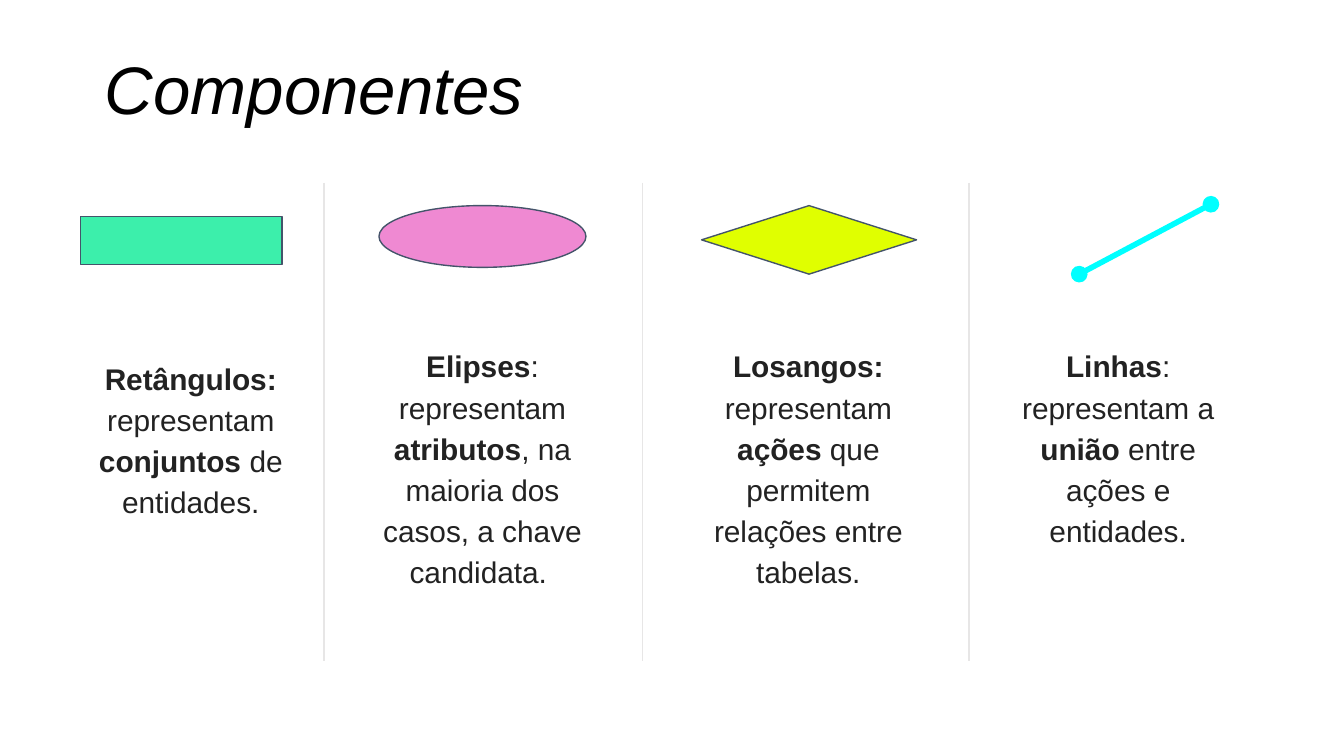
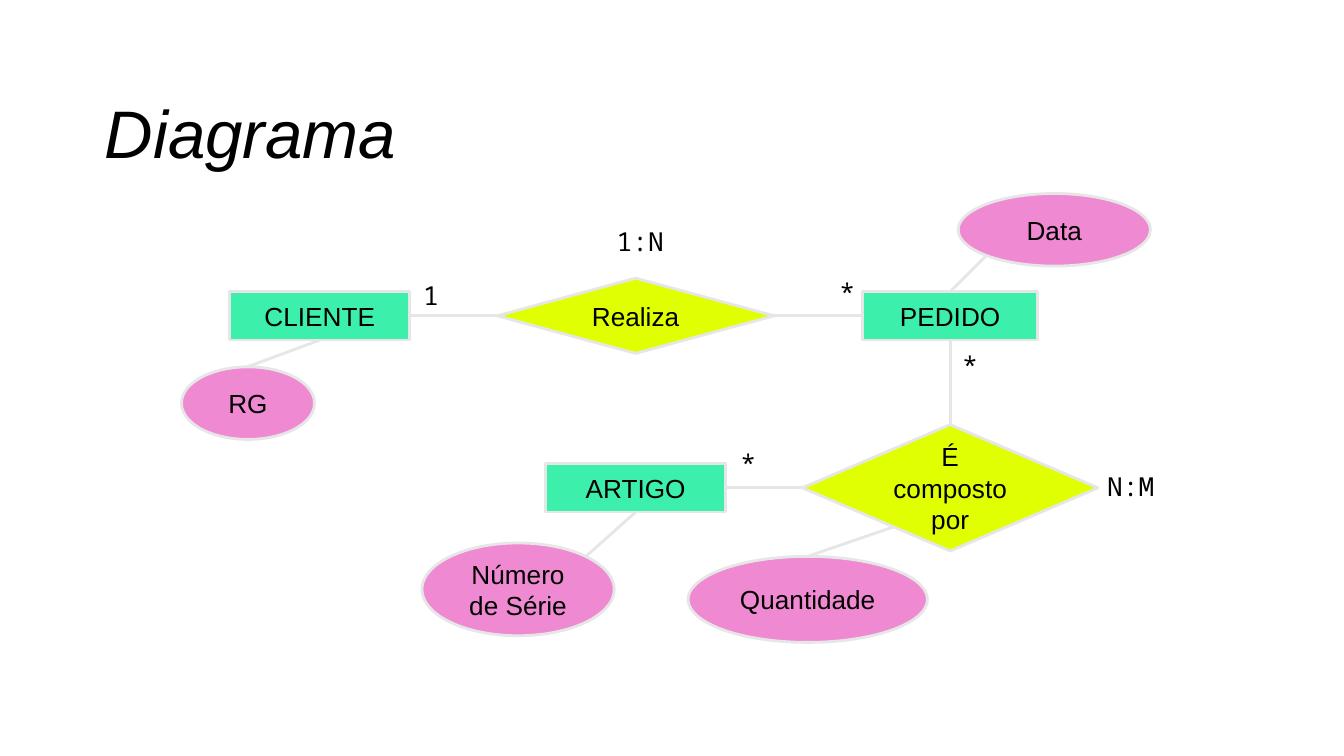
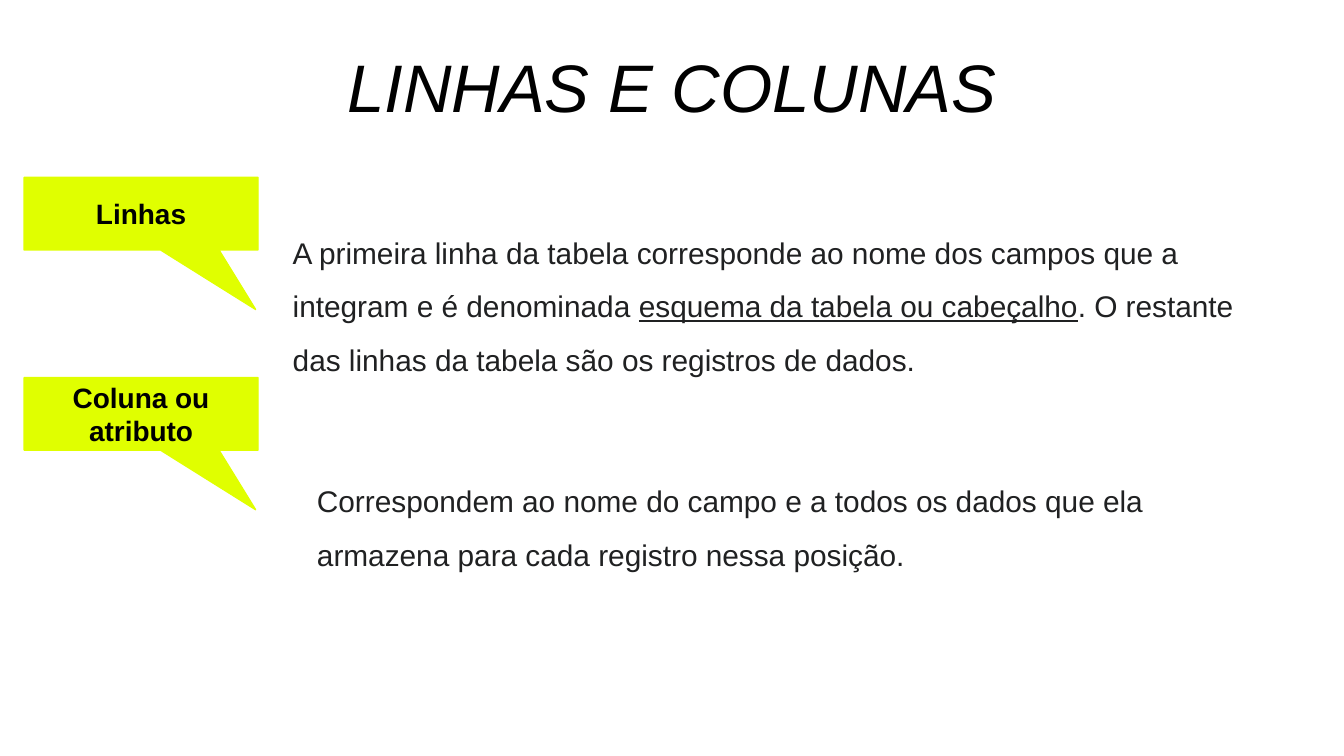
from dataclasses import dataclass
from typing import NamedTuple

from lxml.etree import SubElement
from pptx import Presentation
from pptx.dml.color import RGBColor
from pptx.enum.shapes import MSO_CONNECTOR, MSO_SHAPE
from pptx.enum.text import MSO_ANCHOR, MSO_AUTO_SIZE, PP_ALIGN
from pptx.oxml.ns import qn
from pptx.shapes.autoshape import Shape
from pptx.shapes.connector import Connector
from pptx.slide import Slide
from pptx.text.text import TextFrame
from pptx.util import Pt

PX = 9144  # 100 px to the inch
SLIDE_WIDTH = 1000 * PX
SLIDE_HEIGHT = SLIDE_WIDTH * 9 // 16
TITLE_ONLY = 5

BLACK = RGBColor(0x00, 0x00, 0x00)
CHARCOAL = RGBColor(0x22, 0x22, 0x22)
INK = RGBColor(0x20, 0x21, 0x22)
SLATE = RGBColor(0x44, 0x54, 0x6A)
PALE_GREY = RGBColor(0xE7, 0xE6, 0xE6)
MINT = RGBColor(0x3C, 0xEF, 0xAB)
PINK = RGBColor(0xEF, 0x89, 0xD2)
LIME = RGBColor(0xE0, 0xFF, 0x00)
CYAN = RGBColor(0x00, 0xFF, 0xFF)

SANS = "Arial"
MONO = "Noto Sans Mono"


class Box(NamedTuple):
    left: int
    top: int
    width: int
    height: int

    def emu(self) -> tuple[int, ...]:
        return tuple(length * PX for length in self)

    def at(self, site: tuple[float, float]) -> tuple[int, int]:
        """Point at a fraction of the box's width and height."""
        return (round(self.left + site[0] * self.width),
                round(self.top + site[1] * self.height))


TOP, BOTTOM, LEFT, RIGHT = (0.5, 0), (0.5, 1), (0, 0.5), (1, 0.5)
ELLIPSE_TOP_RIGHT, ELLIPSE_BOTTOM_LEFT = (0.85, 0.15), (0.15, 0.85)
DIAMOND_BOTTOM_LEFT = (0.31, 0.81)


@dataclass(frozen=True)
class Kind:
    geometry: MSO_SHAPE
    fill: RGBColor


ENTITY = Kind(MSO_SHAPE.RECTANGLE, MINT)
ATTRIBUTE = Kind(MSO_SHAPE.FLOWCHART_CONNECTOR, PINK)
ACTION = Kind(MSO_SHAPE.FLOWCHART_DECISION, LIME)
ELLIPSE = Kind(MSO_SHAPE.OVAL, PINK)
DIAMOND = Kind(MSO_SHAPE.DIAMOND, LIME)
CALLOUT = Kind(MSO_SHAPE.ROUNDED_RECTANGULAR_CALLOUT, LIME)


@dataclass(frozen=True)
class Node:
    label: str
    kind: Kind
    box: Box


class Link(NamedTuple):
    start: Node
    start_site: tuple[float, float]
    end: Node
    end_site: tuple[float, float]


class Multiplicity(NamedTuple):
    text: str
    box: Box
    align: PP_ALIGN = PP_ALIGN.LEFT


class Description(NamedTuple):
    text: str
    box: Box
    anchor: MSO_ANCHOR = MSO_ANCHOR.TOP


def write(frame: TextFrame, text: str, *, size: int, color: RGBColor = BLACK,
          font: str = SANS, bold: bool = False, italic: bool = False,
          emphasis: str = "bold", align: PP_ALIGN = PP_ALIGN.LEFT,
          anchor: MSO_ANCHOR = MSO_ANCHOR.TOP, spacing: float = 1.0,
          before: int = 0, grow: bool = False) -> None:
    """Fill a frame; parts between bars take the emphasis (a font attribute)."""
    frame.word_wrap = True
    frame.auto_size = MSO_AUTO_SIZE.SHAPE_TO_FIT_TEXT if grow else MSO_AUTO_SIZE.NONE
    frame.vertical_anchor = anchor
    frame.margin_left = frame.margin_right = 10 * PX
    frame.margin_top = frame.margin_bottom = 10 * PX
    paragraph = frame.paragraphs[0]
    paragraph.alignment = align
    paragraph.line_spacing = spacing
    paragraph.space_before = Pt(before)
    for index, part in enumerate(text.split("|")):
        if not part:
            continue
        run = paragraph.add_run()
        run.text = part
        run.font.name = font
        run.font.size = Pt(size)
        run.font.color.rgb = color
        run.font.bold = bold
        run.font.italic = italic
        if index % 2:
            setattr(run.font, emphasis, True)


def add_titled_slide(deck, title: str, box: Box,
                     align: PP_ALIGN = PP_ALIGN.LEFT) -> Slide:
    slide = deck.slides.add_slide(deck.slide_layouts[TITLE_ONLY])
    heading = slide.shapes.title
    heading.left, heading.top, heading.width, heading.height = box.emu()
    write(heading.text_frame, title, size=36, italic=True, align=align)
    return slide


def add_text(slide: Slide, text: str, box: Box, **text_format) -> None:
    write(slide.shapes.add_textbox(*box.emu()).text_frame, text, **text_format)


def add_figure(slide: Slide, kind: Kind, box: Box, outline: RGBColor,
               weight: float = 0.75) -> Shape:
    figure = slide.shapes.add_shape(kind.geometry, *box.emu())
    figure.shadow.inherit = False
    figure.fill.solid()
    figure.fill.fore_color.rgb = kind.fill
    figure.line.color.rgb = outline
    figure.line.width = Pt(weight)
    return figure


def add_line(slide: Slide, start: tuple[int, int], end: tuple[int, int],
             color: RGBColor = PALE_GREY, weight: float = 0.75) -> Connector:
    line = slide.shapes.add_connector(
        MSO_CONNECTOR.STRAIGHT, *(length * PX for length in (*start, *end)))
    line.line.color.rgb = color
    line.line.width = Pt(weight)
    SubElement(line._element.spPr, qn("a:effectLst"))
    return line


def add_oval_ends(line: Connector) -> None:
    outline = line.line._get_or_add_ln()
    for end in ("a:headEnd", "a:tailEnd"):
        SubElement(outline, qn(end), type="oval")


def build_components(deck) -> None:
    slide = add_titled_slide(deck, "Componentes", Box(68, 25, 664, 78))
    descriptions = [
        Description("|Retângulos: |representam |conjuntos| de entidades.",
                    Box(34, 262, 216, 127), MSO_ANCHOR.MIDDLE),
        Description("|Elipses|: representam |atributos|, na maioria dos casos, "
                    "a chave candidata. ", Box(263, 245, 192, 161)),
        Description("|Losangos: |representam |ações| que permitem relações "
                    "entre tabelas.", Box(505, 245, 193, 213)),
        Description("|Linhas|: representam a |união |entre ações e entidades.",
                    Box(736, 245, 192, 213)),
    ]
    for description in descriptions:
        add_text(slide, description.text, description.box, size=16, color=CHARCOAL,
                 align=PP_ALIGN.CENTER, anchor=description.anchor, spacing=1.15)
    for kind, box in ((ENTITY, Box(60, 161, 150, 36)),
                      (ELLIPSE, Box(282, 153, 154, 46)),
                      (DIAMOND, Box(522, 153, 160, 51))):
        add_figure(slide, kind, box, SLATE)
    add_oval_ends(add_line(slide, (901, 152), (803, 204), CYAN, 3))
    for divider in (241, 478, 721):
        add_line(slide, (divider, 136), (divider, 492))


def build_diagram(deck) -> None:
    slide = add_titled_slide(deck, "Diagrama", Box(68, 58, 664, 78))
    client = Node("CLIENTE", ENTITY, Box(171, 217, 134, 36))
    order = Node("PEDIDO", ENTITY, Box(642, 217, 130, 36))
    article = Node("ARTIGO", ENTITY, Box(406, 345, 134, 36))
    identity = Node("RG", ATTRIBUTE, Box(135, 273, 99, 54))
    date = Node("Data", ATTRIBUTE, Box(713, 144, 143, 54))
    quantity = Node("Quantidade", ATTRIBUTE, Box(512, 414, 178, 64))
    serial = Node("Número de Série", ATTRIBUTE, Box(314, 404, 143, 69))
    places = Node("Realiza", ACTION, Box(370, 207, 206, 56))
    contains = Node("É composto por", ACTION, Box(597, 316, 220, 94))
    for node in (client, order, article, identity, date, quantity, serial,
                 places, contains):
        figure = add_figure(slide, node.kind, node.box, PALE_GREY, 1.5)
        write(figure.text_frame, node.label, size=14, align=PP_ALIGN.CENTER,
              anchor=MSO_ANCHOR.MIDDLE)

    links = [
        Link(identity, TOP, client, BOTTOM),
        Link(client, RIGHT, places, LEFT),
        Link(places, RIGHT, order, LEFT),
        Link(order, TOP, date, ELLIPSE_BOTTOM_LEFT),
        Link(order, BOTTOM, contains, TOP),
        Link(contains, LEFT, article, RIGHT),
        Link(contains, DIAMOND_BOTTOM_LEFT, quantity, TOP),
        Link(article, BOTTOM, serial, ELLIPSE_TOP_RIGHT),
    ]
    for link in links:
        add_line(slide, link.start.box.at(link.start_site),
                 link.end.box.at(link.end_site), weight=1.5)

    multiplicities = [
        Multiplicity("1", Box(305, 198, 64, 44)),
        Multiplicity("1:N", Box(449, 158, 64, 44)),
        Multiplicity("N:M", Box(814, 340, 64, 44)),
        Multiplicity("*", Box(582, 196, 64, 44), PP_ALIGN.RIGHT),
        Multiplicity("*", Box(706, 250, 36, 44)),
        Multiplicity("*", Box(541, 323, 40, 44)),
    ]
    for text, box, align in multiplicities:
        add_text(slide, text, box, size=14, font=MONO, align=align, grow=True)


def build_rows_and_columns(deck) -> None:
    slide = add_titled_slide(deck, "LINHAS E COLUNAS", Box(65, 24, 870, 108),
                             PP_ALIGN.CENTER)
    for term, top in (("Linhas", 132), ("Coluna ou atributo", 281)):
        callout = add_figure(slide, CALLOUT, Box(18, top, 174, 54), LIME)
        for index, adjustment in enumerate((0.49, 1.32, 0)):
            callout.adjustments[index] = adjustment
        write(callout.text_frame, term, size=15, bold=True,
              align=PP_ALIGN.CENTER, anchor=MSO_ANCHOR.MIDDLE)
    add_text(slide, "A primeira linha da tabela corresponde ao nome dos campos que a "
             "integram e é denominada |esquema da tabela ou cabeçalho|. O restante "
             "das linhas da tabela são os registros de dados.",
             Box(208, 151, 750, 178), size=16, color=INK, emphasis="underline",
             spacing=1.5, before=9, grow=True)
    add_text(slide, "Correspondem ao nome do campo e a todos os dados que ela "
             "armazena para cada registro nessa posição.",
             Box(226, 336, 682, 101), size=16, color=INK, spacing=1.5, grow=True)


def main() -> None:
    deck = Presentation()
    deck.slide_width, deck.slide_height = SLIDE_WIDTH, SLIDE_HEIGHT
    build_components(deck)
    build_diagram(deck)
    build_rows_and_columns(deck)
    deck.save("out.pptx")


if __name__ == "__main__":
    main()
